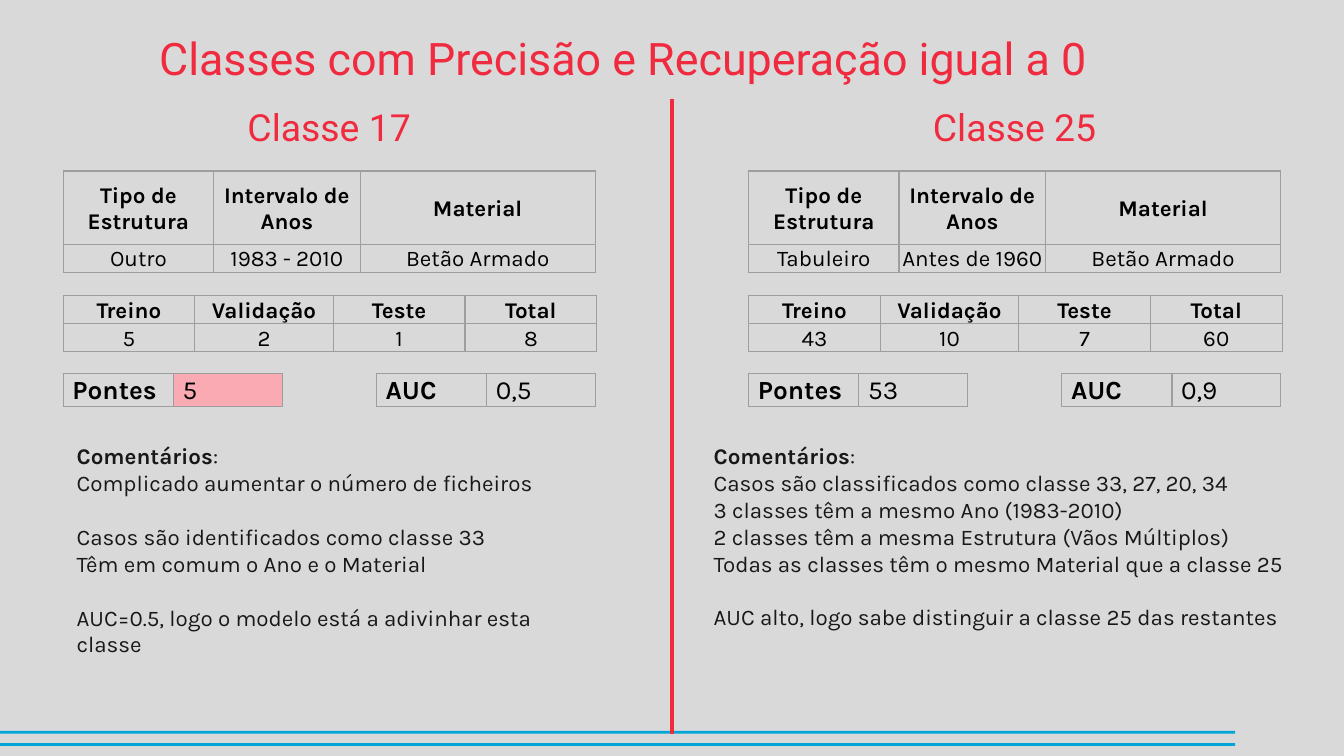
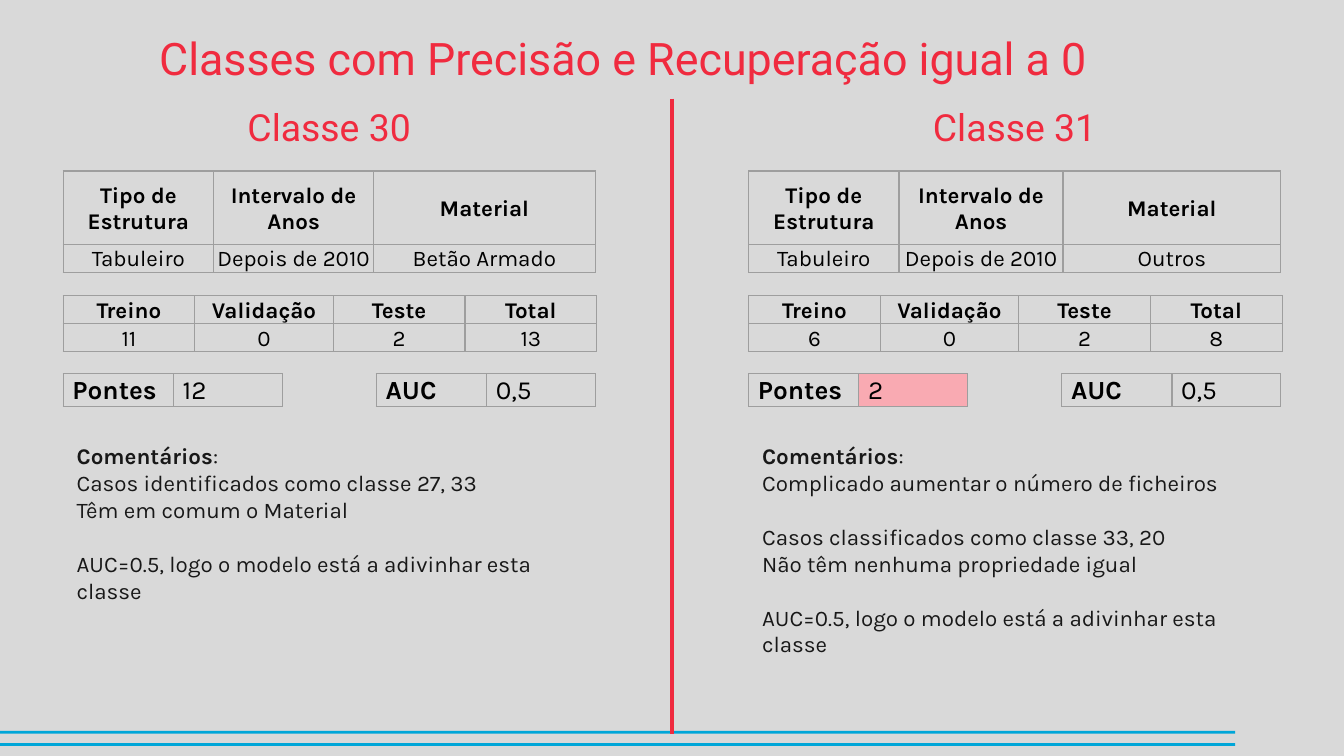
from dataclasses import dataclass
from typing import Any

from lxml.etree import SubElement
from pptx import Presentation
from pptx.dml.color import RGBColor
from pptx.enum.shapes import MSO_CONNECTOR, MSO_SHAPE
from pptx.enum.text import MSO_ANCHOR, MSO_AUTO_SIZE, PP_ALIGN
from pptx.oxml.ns import qn
from pptx.util import Pt

BACKGROUND = RGBColor(0xD9, 0xD9, 0xD9)
RED = RGBColor(0xF0, 0x2B, 0x3F)
BLUE = RGBColor(0x00, 0xA6, 0xD8)
PINK = RGBColor(0xF9, 0xAA, 0xB2)
GRID = RGBColor(0x9E, 0x9E, 0x9E)
BLACK = RGBColor(0x00, 0x00, 0x00)
INK = RGBColor(0x18, 0x18, 0x18)

TITLE = "Classes com Precisão e Recuperação igual a 0"
PROPERTY_HEADERS = ("Tipo de Estrutura", "Intervalo de Anos", "Material")
COUNT_HEADERS = ("Treino", "Validação", "Teste", "Total")
GUESSING = ("AUC=0.5, logo o modelo está a adivinhar esta classe",)
TOO_FEW = ("Complicado aumentar o número de ficheiros",)

PANEL_LEFTS = (33.84, 401.04)
PANEL_WIDTH = 285.12
TYPE_WIDTH = 80.64
COUNT_WIDTHS = (70.56, 74.16, 70.56, 70.56)
PAIR_WIDTHS = (59.04, 58.32)
PAIR_OFFSET = 167.76
COMMENT_GAP = 14.46
BOX_MARGIN = 7.2


@dataclass
class Panel:
    number: int
    properties: tuple[str, ...]
    interval_width: float
    counts: tuple[str, ...]
    bridges: str
    auc: str
    comments: tuple[tuple[str, ...], ...]
    few_bridges: bool = False
    comment_left: float | None = None
    comment_width: float = PANEL_WIDTH


@dataclass
class TableStyle:
    size: float
    margins: tuple[float, float, float, float]
    anchor: MSO_ANCHOR
    paragraph: dict[str, Any]


PROPERTY_STYLE = TableStyle(12, (0.75, 0.75, 0.75, 0), MSO_ANCHOR.MIDDLE,
                            {"alignment": PP_ALIGN.CENTER})
COUNT_STYLE = TableStyle(12, (5, 0, 5, 0), MSO_ANCHOR.TOP,
                         {"alignment": PP_ALIGN.CENTER, "line_spacing": 1.07,
                          "space_after": Pt(8)})
PAIR_STYLE = TableStyle(14, (5, 0, 5, 0), MSO_ANCHOR.TOP,
                        {"alignment": PP_ALIGN.JUSTIFY, "line_spacing": 1.07,
                         "space_after": Pt(8)})

SLIDES = (
    (
        Panel(17, ("Outro", "1983 - 2010", "Betão Armado"), 78.48,
              ("5", "2", "1", "8"), "5", "0,5",
              (TOO_FEW,
               ("Casos são identificados como classe 33",
                "Têm em comum o Ano e o Material"),
               GUESSING), few_bridges=True),
        Panel(25, ("Tabuleiro", "Antes de 1960", "Betão Armado"), 78.48,
              ("43", "10", "7", "60"), "53", "0,9",
              (("Casos são classificados como classe 33, 27, 20, 34",
                "3 classes têm a mesmo Ano (1983-2010)",
                "2 classes têm a mesma Estrutura (Vãos Múltiplos)",
                "Todas as classes têm o mesmo Material que a classe 25"),
               ("AUC alto, logo sabe distinguir a classe 25 das restantes",)),
              comment_left=375.12, comment_width=324.72),
    ),
    (
        Panel(30, ("Tabuleiro", "Depois de 2010", "Betão Armado"), 85.68,
              ("11", "0", "2", "13"), "12", "0,5",
              (("Casos identificados como classe 27, 33",
                "Têm em comum o Material"),
               GUESSING)),
        Panel(31, ("Tabuleiro", "Depois de 2010", "Outros"), 87.84,
              ("6", "0", "2", "8"), "2", "0,5",
              (TOO_FEW,
               ("Casos classificados como classe 33, 20",
                "Não têm nenhuma propriedade igual"),
               GUESSING), few_bridges=True),
    ),
)


def apply(target: Any, values: dict[str, Any]) -> None:
    for name, value in values.items():
        setattr(target, name, value)


def add_span(para: Any, text: str, font: str, size: float, color: RGBColor,
             bold: bool = False) -> None:
    span = para.add_run()
    span.text = text
    apply(span.font, {"name": font, "size": Pt(size), "bold": bold})
    span.font.color.rgb = color


def place(box: Any, left: float, top: float, width: float, height: float,
          anchor: MSO_ANCHOR) -> None:
    apply(box, {"left": Pt(left), "top": Pt(top), "width": Pt(width), "height": Pt(height)})
    apply(box.text_frame, {
        "word_wrap": True, "auto_size": MSO_AUTO_SIZE.NONE, "vertical_anchor": anchor,
        "margin_left": Pt(BOX_MARGIN), "margin_top": Pt(BOX_MARGIN),
        "margin_right": Pt(BOX_MARGIN), "margin_bottom": Pt(BOX_MARGIN),
    })


def write_heading(box: Any, text: str, size: float) -> None:
    para = box.text_frame.paragraphs[0]
    para.alignment = PP_ALIGN.CENTER
    add_span(para, text, "Roboto", size, RED)


def add_borders(cell: Any) -> None:
    properties = cell._tc.get_or_add_tcPr()
    for side in ("a:lnL", "a:lnR", "a:lnT", "a:lnB"):
        line = SubElement(properties, qn(side), w=str(Pt(0.75)))
        fill = SubElement(line, qn("a:solidFill"))
        SubElement(fill, qn("a:srgbClr"), val=str(GRID))


def add_grid(page: Any, left: float, top: float, widths: tuple[float, ...],
             heights: tuple[float, ...], rows: tuple[tuple[str, ...], ...],
             style: TableStyle) -> Any:
    table = page.shapes.add_table(len(rows), len(widths), Pt(left), Pt(top),
                                  Pt(sum(widths)), Pt(sum(heights))).table
    apply(table, {"first_row": False, "horz_banding": False})
    for column, width in zip(table.columns, widths):
        column.width = Pt(width)
    for row, height in zip(table.rows, heights):
        row.height = Pt(height)
    sides = ("margin_left", "margin_top", "margin_right", "margin_bottom")
    for row_index, texts in enumerate(rows):
        for column_index, text in enumerate(texts):
            cell = table.cell(row_index, column_index)
            apply(cell, {side: Pt(margin) for side, margin in zip(sides, style.margins)})
            cell.vertical_anchor = style.anchor
            add_borders(cell)
            cell.fill.background()
            para = cell.text_frame.paragraphs[0]
            apply(para, style.paragraph)
            header = column_index == 0 if len(rows) == 1 else row_index == 0
            add_span(para, text, "Karla", style.size, BLACK, header)
    return table


def add_comment_line(para: Any, gap: float = 0) -> None:
    apply(para, {"space_before": Pt(gap), "space_after": Pt(0), "alignment": PP_ALIGN.LEFT})
    properties = para._p.get_or_add_pPr()
    properties.set("marL", "0")
    properties.set("indent", "0")
    SubElement(properties, qn("a:buNone"))


def write_comments(box: Any, groups: tuple[tuple[str, ...], ...]) -> None:
    frame = box.text_frame
    heading = frame.paragraphs[0]
    add_comment_line(heading)
    add_span(heading, "Comentários", "Karla", 12, INK, True)
    add_span(heading, ":", "Karla", 12, INK)
    for group_index, group in enumerate(groups):
        for line_index, text in enumerate(group):
            para = frame.add_paragraph()
            add_comment_line(para, COMMENT_GAP if group_index and not line_index else 0)
            add_span(para, text, "Karla", 12, INK)


def draw_panel(page: Any, panel: Panel, left: float, body: Any) -> None:
    heading = page.shapes.add_textbox(0, 0, 0, 0)
    place(heading, left - 14.4, 54, 313.92, 28.08, MSO_ANCHOR.MIDDLE)
    write_heading(heading, f"Classe {panel.number}", 20)

    material_width = PANEL_WIDTH - TYPE_WIDTH - panel.interval_width
    add_grid(page, left, 91.6, (TYPE_WIDTH, panel.interval_width, material_width),
             (39.6, 14.4), (PROPERTY_HEADERS, panel.properties), PROPERTY_STYLE)
    add_grid(page, left, 158.4, COUNT_WIDTHS, (14.75, 14.75),
             (COUNT_HEADERS, panel.counts), COUNT_STYLE)
    bridges = add_grid(page, left, 200.16, PAIR_WIDTHS, (17.28,),
                       (("Pontes", panel.bridges),), PAIR_STYLE)
    if panel.few_bridges:
        fill = bridges.cell(0, 1).fill
        fill.solid()
        fill.fore_color.rgb = PINK
    add_grid(page, left + PAIR_OFFSET, 200.16, PAIR_WIDTHS, (17.28,),
             (("AUC", panel.auc),), PAIR_STYLE)

    comment_left = left if panel.comment_left is None else panel.comment_left
    place(body, comment_left, 229.68, panel.comment_width, 141.84, MSO_ANCHOR.TOP)
    write_comments(body, panel.comments)


def draw_frame(page: Any) -> None:
    fill = page.background.fill
    fill.solid()
    fill.fore_color.rgb = BACKGROUND
    place(page.shapes.title, 30.24, 11.52, 606.96, 38.16, MSO_ANCHOR.MIDDLE)
    write_heading(page.shapes.title, TITLE, 24)
    for top in (391.6, 398.1):
        band = page.shapes.add_shape(MSO_SHAPE.RECTANGLE, Pt(-2.16), Pt(top),
                                     Pt(663.84), Pt(1.5))
        band.shadow.inherit = False
        band.fill.solid()
        band.fill.fore_color.rgb = BLUE
        band.line.fill.background()
    divider = page.shapes.add_connector(MSO_CONNECTOR.STRAIGHT, Pt(360), Pt(52.8),
                                        Pt(360), Pt(393.12))
    divider.line.color.rgb = RED
    divider.line.width = Pt(2.25)
    SubElement(divider._element.spPr, qn("a:effectLst"))


def main() -> None:
    deck = Presentation()
    apply(deck, {"slide_width": Pt(720), "slide_height": Pt(405)})
    for panels in SLIDES:
        page = deck.slides.add_slide(deck.slide_layouts[3])
        bodies = [page.placeholders[index] for index in (1, 2)]
        draw_frame(page)
        for panel, left, body in zip(panels, PANEL_LEFTS, bodies):
            draw_panel(page, panel, left, body)
    deck.save("out.pptx")


if __name__ == "__main__":
    main()
